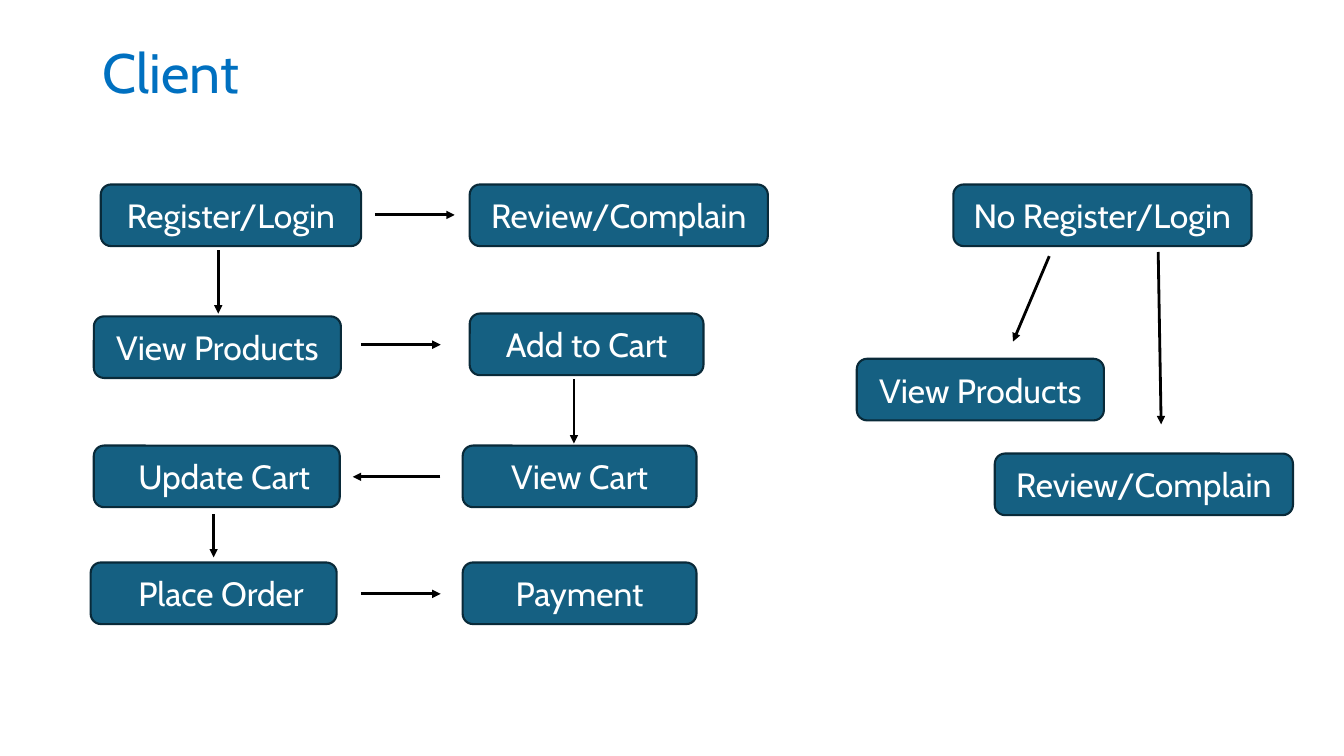
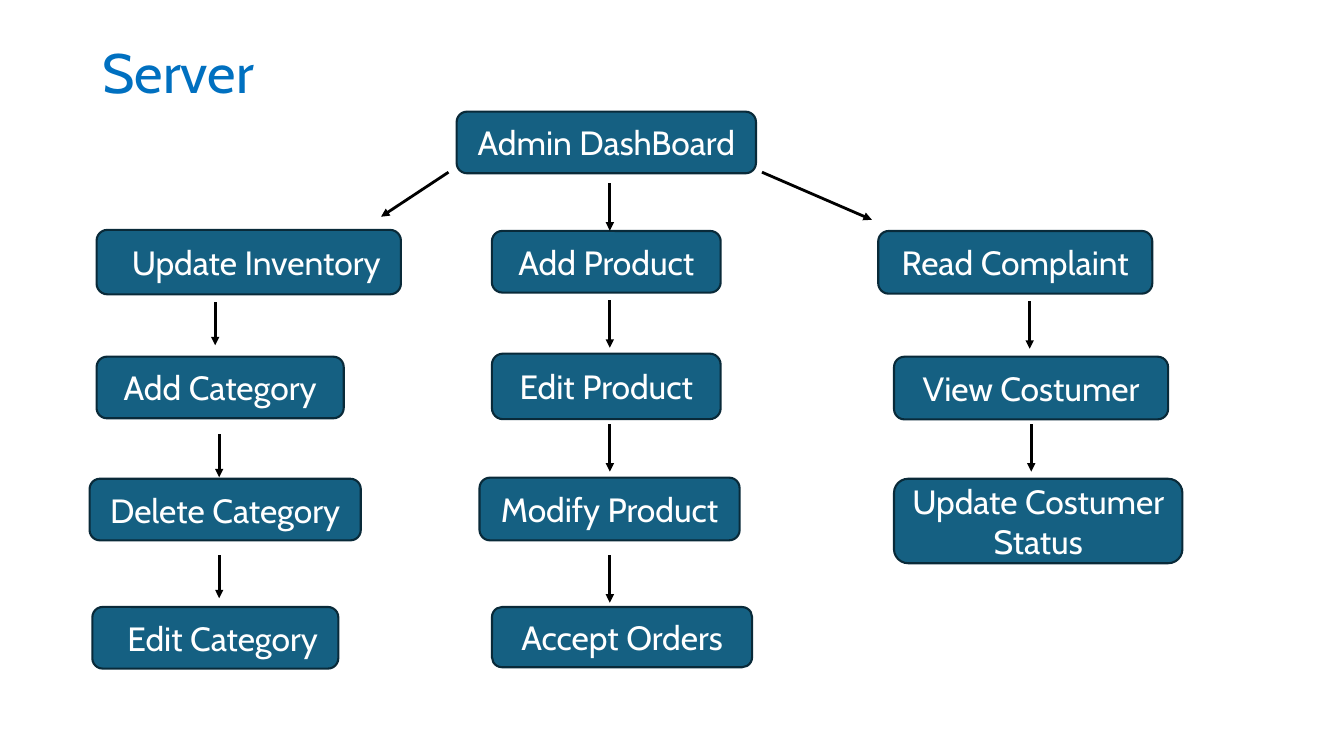
from lxml import etree
from pptx import Presentation
from pptx.dml.color import RGBColor
from pptx.enum import shapes, text
from pptx.oxml import ns
from pptx.util import Pt


class FlowDeck:
    """Hold the flowchart style, the deck and the current page."""

    COLORS = {"title": "0070C0", "fill": "156082", "edge": "092A39",
              "label": "FFFFFF", "arrow": "000000"}
    FONT = "Cabin"
    BOX_HEIGHT = 44
    INSET = 7.2

    def __init__(self):
        self.deck = Presentation()
        self.deck.slide_width, self.deck.slide_height = Pt(960), Pt(540)
        self.page = None

    def color(self, name):
        return RGBColor.from_string(self.COLORS[name])

    def set_words(self, frame, words, size, color, align):
        frame.text = words
        frame.word_wrap = True
        frame.auto_size = text.MSO_AUTO_SIZE.NONE
        frame.vertical_anchor = text.MSO_ANCHOR.MIDDLE
        para = frame.paragraphs[0]
        para.alignment = align
        for span in para.runs:
            span.font.name = self.FONT
            span.font.size = Pt(size)
            span.font.color.rgb = self.color(color)

    def add_page(self, title):
        self.page = self.deck.slides.add_slide(self.deck.slide_layouts[5])
        heading = self.page.shapes.title
        heading.left, heading.top = Pt(66), Pt(28.8)
        heading.width, heading.height = Pt(828), Pt(50.4)
        self.set_words(heading.text_frame, title, 39.6, "title",
                       text.PP_ALIGN.LEFT)
        heading.text_frame.paragraphs[0].line_spacing = 0.9

    def box(self, label, left, top, width, height=BOX_HEIGHT, indent=0):
        box = self.page.shapes.add_shape(
            shapes.MSO_SHAPE.ROUNDED_RECTANGLE,
            Pt(left), Pt(top), Pt(width), Pt(height))
        box.shadow.inherit = False
        box.fill.solid()
        box.fill.fore_color.rgb = self.color("fill")
        box.line.color.rgb = self.color("edge")
        box.line.width = Pt(1.5)
        self.set_words(box.text_frame, label, 24, "label",
                       text.PP_ALIGN.CENTER)
        box.text_frame.margin_left = Pt(self.INSET + indent)

    def arrow(self, x1, y1, x2, y2):
        arrow = self.page.shapes.add_connector(
            shapes.MSO_CONNECTOR.STRAIGHT, Pt(x1), Pt(y1), Pt(x2), Pt(y2))
        arrow.line.color.rgb = self.color("arrow")
        arrow.line.width = Pt(2)
        properties = arrow.element.spPr
        line = properties.find(ns.qn("a:ln"))
        etree.SubElement(line, ns.qn("a:tailEnd"), type="triangle")
        etree.SubElement(properties, ns.qn("a:effectLst"))

    def drops(self, x, length, *tops):
        for top in tops:
            self.arrow(x, top, x, top + length)

    def across(self, left, y, length=57):
        self.arrow(left, y, left + length, y)


def client_page(flow):
    """Draw the client flow with and without a login."""
    flow.add_page("Client")
    for label, left, top, width in (
            ("Register/Login", 72, 131.8, 186),
            ("Review/Complain", 335.5, 131.8, 213),
            ("View Products", 67, 226, 176.5),
            ("Add to Cart", 335.5, 224, 167),
            ("View Cart", 330.5, 318.3, 167),
            ("Payment", 330.5, 401.8, 167),
            ("No Register/Login", 681, 131.8, 213),
            ("View Products", 612, 256.3, 176.5),
            ("Review/Complain", 710.6, 324, 213)):
        flow.box(label, left, top, width)
    flow.box("Update Cart", 67, 318.3, 175.7, indent=10.5)
    flow.box("Place Order", 64.8, 401.8, 175.7, indent=10.5)

    flow.drops(155.9, 45.4, 178.6)
    flow.drops(410, 46, 270.8)
    flow.drops(152.6, 31, 367.2)
    flow.across(267.8, 153.5)
    flow.across(257.8, 246.2)
    flow.across(257.8, 424.2)
    flow.across(314.6, 340.6, -62.6)
    flow.arrow(749.5, 183, 723.6, 244)
    flow.arrow(827.3, 180, 829.4, 303.1)


def server_page(flow):
    """Draw the three branches below the admin dashboard."""
    flow.add_page("Server")
    for label, left, top, width, height in (
            ("Admin DashBoard", 326.2, 79.8, 213.8, 44),
            ("Add Category", 69, 254.8, 176.5, 44),
            ("Delete Category", 64, 342, 193.7, 44),
            ("Add Product", 351.4, 165, 163.4, 44),
            ("Edit Product", 351.4, 252.6, 163.4, 46.8),
            ("Modify Product", 342.5, 341.2, 185.8, 44.8),
            ("Accept Orders", 351.4, 433.6, 185.8, 43),
            ("Read Complaint", 627.3, 165, 195.8, 44.8),
            ("View Costumer", 638.6, 254.8, 195.8, 44.8),
            ("Update Costumer Status", 638.6, 342, 206, 60.3)):
        flow.box(label, left, top, width, height)
    flow.box("Update Inventory", 69, 164.2, 217.4, 46, indent=10.5)
    flow.box("Edit Category", 66, 433.6, 175.7, indent=10.5)

    flow.arrow(320.4, 123, 272.2, 154.8)
    flow.arrow(544.3, 123, 622.8, 157)
    flow.drops(153.7, 30.6, 216)
    flow.drops(156.6, 30.6, 310.3, 396.7)
    flow.drops(435.6, 33.8, 131, 214.6, 303.1, 396.7)
    flow.drops(735.5, 33.8, 215.3)
    flow.drops(736.6, 33.8, 303.1)


def main():
    """Build both pages and save the deck."""
    flow = FlowDeck()
    client_page(flow)
    server_page(flow)
    flow.deck.save("out.pptx")


if __name__ == "__main__":
    main()
